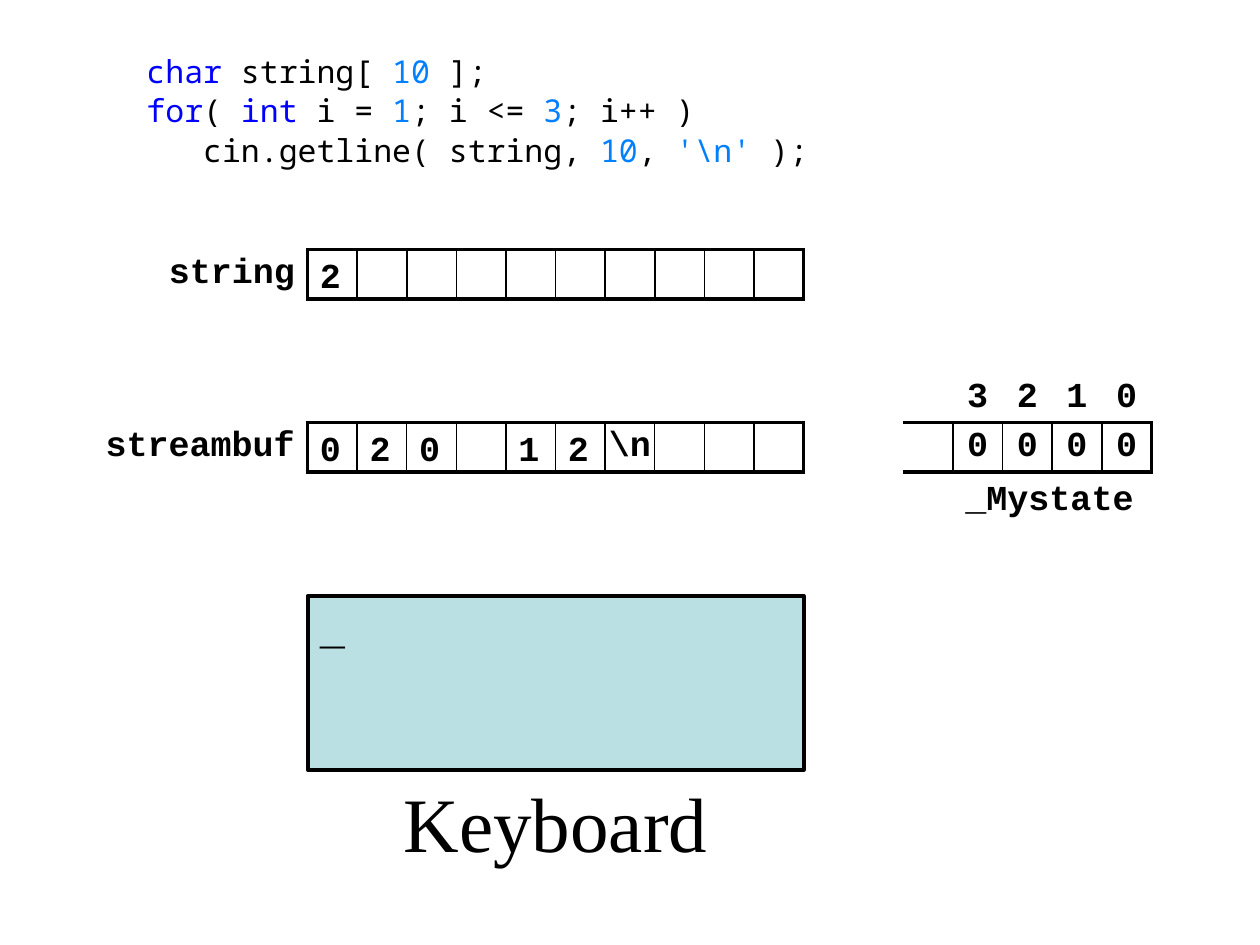
from dataclasses import dataclass

from lxml.etree import SubElement
from pptx import Presentation
from pptx.dml.color import RGBColor
from pptx.enum.shapes import MSO_SHAPE
from pptx.enum.text import MSO_ANCHOR, PP_ALIGN
from pptx.oxml import parse_xml
from pptx.oxml.ns import nsdecls, qn
from pptx.util import Pt


@dataclass(frozen=True)
class Theme:
    black: RGBColor = RGBColor(0, 0, 0)
    keyword: RGBColor = RGBColor(0x00, 0x00, 0xFF)
    literal: RGBColor = RGBColor(0x00, 0x80, 0xFF)
    screen: RGBColor = RGBColor(0xBB, 0xE0, 0xE3)
    mono: str = "Courier New"
    code: str = "Noto Sans Mono"
    serif: str = "Times New Roman"
    code_size: int = 18
    cell_size: int = 20
    cursor_size: int = 24
    caption_size: int = 44
    outer: float = 2.25
    inner: float = 1


THEME = Theme()
CELL = 28.35  # side of one memory cell
SLOTS = 10
BUFFER_LEFT = 175.75
BUFFER_WIDTH = SLOTS * CELL


def style_run(run, size, font, color=THEME.black, bold=False):
    run.font.size = Pt(size)
    run.font.name = font
    run.font.color.rgb = color
    run.font.bold = bold


def style_mono(paragraph, size=THEME.cell_size):
    for run in paragraph.runs:
        style_run(run, size, THEME.mono, bold=True)


def set_margins(target, left=0, top=0, right=0, bottom=0):
    target.margin_left, target.margin_top = Pt(left), Pt(top)
    target.margin_right, target.margin_bottom = Pt(right), Pt(bottom)


def set_borders(cell, **widths):
    """Draw the sides L, R, T and B; a side without a width stays invisible."""
    properties = cell._tc.get_or_add_tcPr()
    for position, side in enumerate("LRTB"):
        width = widths.get(side, 0)
        paint = (f'<a:solidFill><a:srgbClr val="{THEME.black}"/></a:solidFill>'
                 if width else "<a:noFill/>")
        properties.insert(position, parse_xml(
            f'<a:ln{side} {nsdecls("a")} w="{Pt(width)}">{paint}</a:ln{side}>'))


def fill_cell(cell, text="", align=PP_ALIGN.CENTER, right=0, space_before=0):
    cell.fill.background()
    set_margins(cell, right=right)
    cell.vertical_anchor = MSO_ANCHOR.MIDDLE
    cell.text_frame.text = text
    paragraph = cell.text_frame.paragraphs[0]
    paragraph.alignment = align
    paragraph.space_before = Pt(space_before)
    style_mono(paragraph)


def add_grid(slide, left, top, widths, rows):
    frame = slide.shapes.add_table(rows, len(widths), Pt(left), Pt(top),
                                   Pt(sum(widths)), Pt(rows * CELL))
    grid = frame.table
    grid.first_row = grid.horz_banding = False
    for column, width in zip(grid.columns, widths):
        column.width = Pt(width)
    for row in grid.rows:
        row.height = Pt(CELL)
    return grid


def add_slot_text(slide, text, left, top, width=CELL, vertical=3.6):
    box = slide.shapes.add_textbox(Pt(left), Pt(top), Pt(width), Pt(CELL))
    frame = box.text_frame
    frame.word_wrap = False
    frame.vertical_anchor = MSO_ANCHOR.MIDDLE
    set_margins(frame, 7.2, vertical, 7.2, vertical)
    frame.text = text
    style_mono(frame.paragraphs[0])


def add_buffer(slide, label, left, top, rows, slots, cell_texts=None):
    """A labelled strip of memory cells in the last row of a grid."""
    cell_texts = cell_texts or {}
    label_width = BUFFER_LEFT - left
    grid = add_grid(slide, left, top, [label_width] + [CELL] * SLOTS, rows)
    last = rows - 1
    for row in range(rows):
        for column in range(SLOTS + 1):
            cell = grid.cell(row, column)
            if row < last:
                fill_cell(cell)
                set_borders(cell, B=THEME.outer if column else 0)
            elif column == 0:
                fill_cell(cell, label, PP_ALIGN.RIGHT, 7.2, 4)
                set_borders(cell, R=THEME.outer)
            else:
                fill_cell(cell, cell_texts.get(column - 1, ""), space_before=4)
                set_borders(cell, T=THEME.outer, B=THEME.outer,
                            L=THEME.outer if column == 1 else THEME.inner,
                            R=THEME.outer if column == SLOTS else THEME.inner)
    for slot, text in slots.items():
        add_slot_text(slide, text, BUFFER_LEFT + slot * CELL, top + last * CELL)


def add_state(slide, left, top):
    """Bit numbers above the state bits, open at the left, name below."""
    numbers = ["", "3", "2", "1", "0"]
    bits = ["", "0", "0", "0", "0"]
    grid = add_grid(slide, left, top, [CELL] * len(bits), 2)
    for column, (number, bit) in enumerate(zip(numbers, bits)):
        fill_cell(grid.cell(0, column), number)
        set_borders(grid.cell(0, column), B=THEME.outer)
        fill_cell(grid.cell(1, column), bit)
        set_borders(grid.cell(1, column), T=THEME.outer, B=THEME.outer,
                    L=THEME.inner if column else 0,
                    R=THEME.outer if column == len(bits) - 1 else THEME.inner)
    add_slot_text(slide, "_Mystate", left + CELL, top + 2 * CELL, 4 * CELL, 0)


def add_code(slide, left, top, width, height):
    plain, keyword, literal = THEME.black, THEME.keyword, THEME.literal
    lines = [
        [("char", keyword), (" string[ ", plain), ("10", literal), (" ];", plain)],
        [("for", keyword), ("( ", plain), ("int", keyword), (" i = ", plain),
         ("1", literal), ("; i <= ", plain), ("3", literal), ("; i++ )", plain)],
        [("   cin.getline( string, ", plain), ("10", literal), (", ", plain),
         ("'\\n'", literal), (" );", plain)],
    ]
    body = slide.placeholders[1]
    body.left, body.top, body.width, body.height = map(Pt, (left, top, width, height))
    frame = body.text_frame
    set_margins(frame, 7.2, 3.6, 2.9, 3.6)
    for index, line in enumerate(lines):
        paragraph = frame.paragraphs[0] if index == 0 else frame.add_paragraph()
        paragraph.line_spacing = 0.88
        paragraph.space_before = Pt(3.6)
        properties = paragraph._p.get_or_add_pPr()
        properties.set("marL", "0")
        properties.set("indent", "0")
        SubElement(properties, qn("a:buNone"))
        for text, color in line:
            run = paragraph.add_run()
            run.text = text
            style_run(run, THEME.code_size, THEME.code, color)


def add_keyboard(slide, left, top, width, height):
    screen = slide.shapes.add_shape(MSO_SHAPE.RECTANGLE, Pt(left), Pt(top),
                                    Pt(width), Pt(height))
    screen.shadow.inherit = False
    screen.fill.solid()
    screen.fill.fore_color.rgb = THEME.screen
    screen.line.color.rgb = THEME.black
    screen.line.width = Pt(THEME.outer)
    frame = screen.text_frame
    frame.word_wrap = False
    frame.vertical_anchor = MSO_ANCHOR.TOP
    frame.text = "_"
    frame.paragraphs[0].alignment = PP_ALIGN.LEFT
    style_mono(frame.paragraphs[0], THEME.cursor_size)

    # Caption centred below the screen
    caption_width = 199
    caption = slide.shapes.add_textbox(Pt(left + (width - caption_width) / 2),
                                       Pt(top + height), Pt(caption_width), Pt(70.5))
    caption.text_frame.word_wrap = False
    caption.text_frame.text = "Keyboard"
    paragraph = caption.text_frame.paragraphs[0]
    paragraph.alignment = PP_ALIGN.CENTER
    style_run(paragraph.runs[0], THEME.caption_size, THEME.serif)


def main():
    deck = Presentation()
    deck.slide_width, deck.slide_height = Pt(720), Pt(540)
    slide = deck.slides.add_slide(deck.slide_layouts[1])
    heading = slide.shapes.title.element
    heading.getparent().remove(heading)

    add_code(slide, 76.5, 28.8, 396.7, 85)
    add_buffer(slide, "streambuf", 19.4, 213.1, 2,
               {0: "0", 1: "2", 2: "0", 4: "1", 5: "2"}, {6: "\\n"})
    add_buffer(slide, "string", 90.7, 142.6, 1, {0: "2"})
    add_keyboard(slide, BUFFER_LEFT, 340.6, BUFFER_WIDTH, 99.2)
    add_state(slide, 516.2, 213.1)
    deck.save("out.pptx")


if __name__ == "__main__":
    main()
